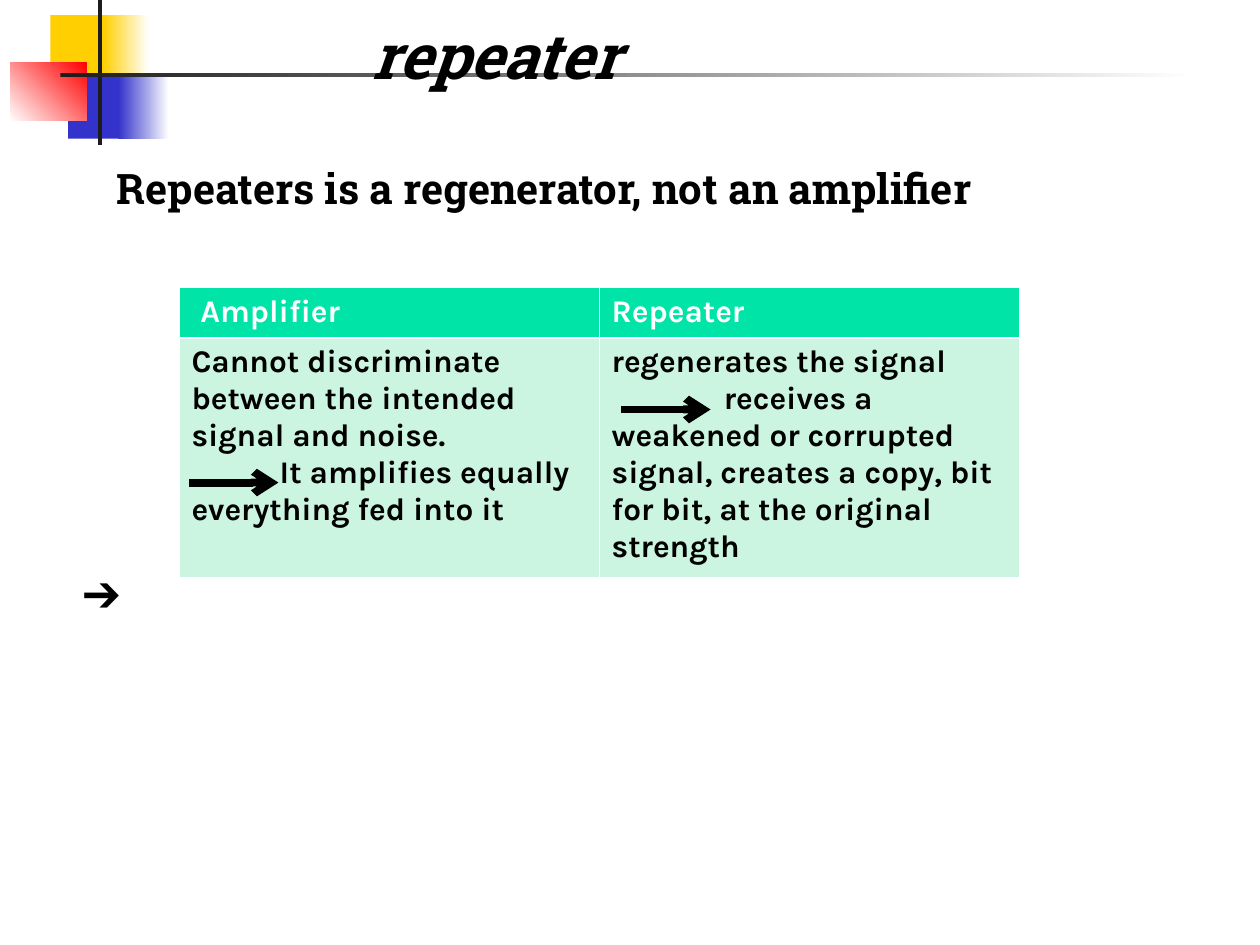
from lxml.etree import SubElement
from pptx import Presentation
from pptx.dml.color import RGBColor
from pptx.enum.shapes import MSO_CONNECTOR, MSO_SHAPE
from pptx.enum.text import MSO_AUTO_SIZE
from pptx.oxml.ns import qn
from pptx.util import Inches, Pt

BLACK = RGBColor(0, 0, 0)
WHITE = RGBColor(255, 255, 255)
INK = RGBColor(0x1C, 0x1C, 0x1C)
GOLD = RGBColor(0xFF, 0xCF, 0x01)
BLUE = RGBColor(0x33, 0x33, 0xCC)
RED = RGBColor(255, 0, 0)
GREEN = RGBColor(0, 0xE4, 0xA8)
MINT = RGBColor(0xCB, 0xF5, 0xE1)

COLS, ROWS = 100, 75


class Deck:
    head = "Roboto Slab"
    body = "Karla"
    sign = "Times New Roman"

    def __init__(self):
        self.file = Presentation()
        self.file.slide_width = Inches(10)
        self.file.slide_height = Inches(7.5)
        self.slide = self.file.slides.add_slide(self.file.slide_layouts[6])
        self.shapes = self.slide.shapes

    def x(self, col):
        return round(self.file.slide_width * col / COLS)

    def y(self, row):
        return round(self.file.slide_height * row / ROWS)

    def area(self, col, row, wide, high):
        return self.x(col), self.y(row), self.x(wide), self.y(high)

    def block(self, area, tint, fade=None, angle=0):
        shape = self.shapes.add_shape(MSO_SHAPE.RECTANGLE, *self.area(*area))
        shape.shadow.inherit = False
        shape.line.fill.background()
        if fade is None:
            shape.fill.solid()
            shape.fill.fore_color.rgb = tint
            return
        shape.fill.gradient()
        shape.fill.gradient_angle = angle
        for stop, color in zip(shape.fill.gradient_stops, (tint, fade)):
            stop.color.rgb = color

    def words(self, para, text, size, face, color=BLACK, bold=True, slant=False):
        run = para.add_run()
        run.text = text
        font = run.font
        font.size, font.name = Pt(size), face
        font.bold, font.italic = bold, slant
        font.color.rgb = color

    def label(self, area, text, size, face, wrap=True, **style):
        frame = self.shapes.add_textbox(*self.area(*area)).text_frame
        frame.word_wrap = wrap
        frame.auto_size = MSO_AUTO_SIZE.SHAPE_TO_FIT_TEXT
        self.words(frame.paragraphs[0], text, size, face, **style)

    def edge(self, cell, side, width):
        line = SubElement(cell._tc.get_or_add_tcPr(), qn("a:ln" + side), w=str(Pt(width)))
        fill = SubElement(line, qn("a:solidFill"))
        SubElement(fill, qn("a:srgbClr"), val=str(WHITE))

    def cell(self, cell, paras, color, back, top, base):
        for side, width in zip("LRTB", (0.45, 0.45, top, base)):
            self.edge(cell, side, width)
        cell.fill.solid()
        cell.fill.fore_color.rgb = back
        frame = cell.text_frame
        for i, (text, indent) in enumerate(paras):
            para = frame.add_paragraph() if i else frame.paragraphs[0]
            if indent:
                para._p.get_or_add_pPr().set("indent", str(self.x(indent)))
            self.words(para, text, 18, self.body, color)

    def table(self, area, heights, rows):
        grid = self.shapes.add_table(len(rows), len(rows[0]), *self.area(*area)).table
        looks = ((WHITE, GREEN, 0.45, 1.47), (BLACK, MINT, 1.47, 0.45))
        for r, (high, row, look) in enumerate(zip(heights, rows, looks)):
            grid.rows[r].height = self.y(high)
            for c, paras in enumerate(row):
                self.cell(grid.cell(r, c), paras, *look)

    def arrow(self, col, row, wide):
        link = self.shapes.add_connector(
            MSO_CONNECTOR.STRAIGHT,
            self.x(col), self.y(row), self.x(col + wide), self.y(row))
        link.line.width = Pt(4.5)
        link.line.color.rgb = BLACK
        SubElement(link.line._ln, qn("a:tailEnd"), type="arrow")
        SubElement(link._element.spPr, qn("a:effectLst"))

    def save(self):
        self.file.save("out.pptx")


def main():
    deck = Deck()
    deck.block((4, 1.2, 4.8, 5.2), GOLD)
    deck.block((8.2, 1.2, 3.6, 5.2), GOLD, WHITE)
    deck.block((5.4, 5.8, 4.6, 5.2), BLUE)
    deck.block((9.4, 5.8, 4, 5.2), BLUE, WHITE)
    deck.block((0.8, 5, 6.1, 4.6), WHITE, RED, 45)
    deck.block((7.8, 0, 0.3, 11.5), INK)
    deck.block((4.8, 5.8, 90, 0.3), INK, WHITE)

    deck.label((28.5, 0.8, 24.3, 7), "repeater", 36, deck.head, wrap=False, slant=True)
    deck.label((5.6, 44.6, 86.8, 5), "➔", 24, deck.sign, bold=False)
    deck.table((14.2, 22.8, 66.7, 23), (4, 19), (
        ([("Amplifier", 0.7)], [("Repeater", 0)]),
        ([("Cannot discriminate between the intended signal and noise.", 0),
          ("It amplifies equally everything fed into it", 7)],
         [("regenerates the signal", 0),
          ("receives a weakened or corrupted signal, creates a copy, "
           "bit for bit, at the original strength", 8.9)]),
    ))
    for col, row in ((49.3, 32.5), (15, 38.3)):
        deck.arrow(col, row, 7.1)
    deck.label((8.3, 12.4, 85.2, 5),
               "Repeaters is a regenerator, not an amplifier", 24, deck.head)
    deck.save()


if __name__ == "__main__":
    main()
